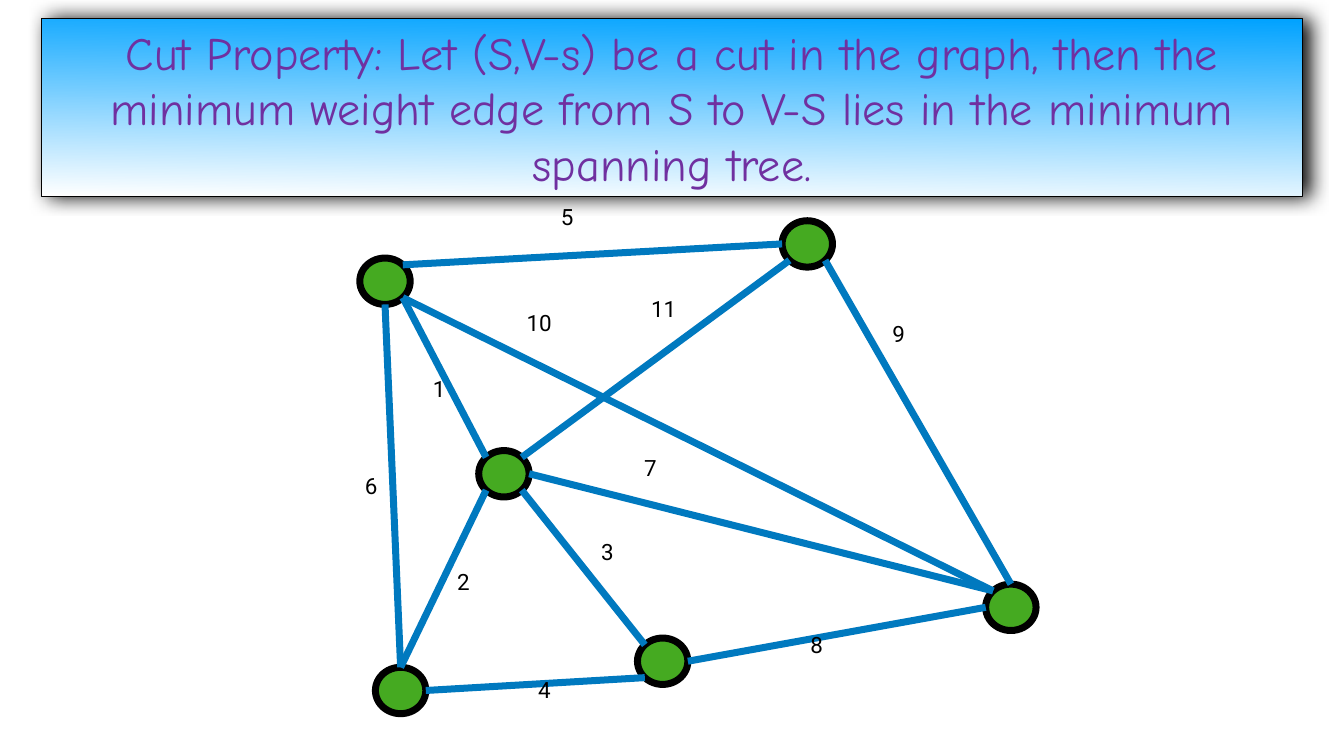
from math import cos, sin, radians
from lxml import etree
from pptx import Presentation
from pptx.dml.color import RGBColor
from pptx.enum.shapes import MSO_CONNECTOR, MSO_SHAPE
from pptx.enum.text import MSO_ANCHOR, MSO_AUTO_SIZE, PP_ALIGN
from pptx.oxml import parse_xml
from pptx.oxml.ns import nsdecls, qn
from pptx.util import Inches, Pt

SKY = RGBColor(0x00, 0xA2, 0xFF)
WHITE = RGBColor(0xFF, 0xFF, 0xFF)
BLACK = RGBColor(0x00, 0x00, 0x00)
PURPLE = RGBColor(0x70, 0x30, 0xA0)
GREEN = RGBColor(0x45, 0xAA, 0x21)
BLUE = RGBColor(0x00, 0x79, 0xBF)


def set_text(shape, text, font, size, color):
    frame = shape.text_frame
    frame.word_wrap = True
    frame.vertical_anchor = MSO_ANCHOR.MIDDLE
    frame.margin_left = frame.margin_right = Inches(0.06)
    frame.margin_top = frame.margin_bottom = Inches(0.06)
    para = frame.paragraphs[0]
    run = para.add_run()
    run.text = text
    run.font.name = font
    run.font.size = Pt(size)
    run.font.color.rgb = color
    return para


prs = Presentation()
prs.slide_width, prs.slide_height = Inches(26.67), Inches(15)
slide = prs.slides.add_slide(prs.slide_layouts[5])
shapes = slide.shapes

# Title: rounded banner with gradient and shadow
title = shapes.title
title.left, title.top = Inches(0.82), Inches(0.37)
title.width, title.height = Inches(25.03), Inches(3.52)
props = title._element.spPr
props.append(parse_xml(
    f'<a:prstGeom {nsdecls("a")} prst="roundRect"><a:avLst>'
    '<a:gd name="adj" fmla="val 5900"/></a:avLst></a:prstGeom>'))
title.fill.gradient()
title.fill.gradient_angle = 269
for stop, color in zip(title.fill.gradient_stops, (SKY, WHITE)):
    stop.color.rgb = color
title.fill.gradient_stops[0].position = 0
title.fill.gradient_stops[1].position = 1
title.line.color.rgb = BLACK
title.line.width = Pt(1)
props.append(parse_xml(
    f'<a:effectLst {nsdecls("a")}><a:outerShdw blurRad="{Pt(28)}" dist="{Pt(9)}" dir="0">'
    '<a:srgbClr val="000000"><a:alpha val="97000"/></a:srgbClr>'
    '</a:outerShdw></a:effectLst>'))
para = set_text(title, "Cut Property: Let (S,V-s) be a cut in the graph, then the minimum "
                "weight edge from S to V-S lies in the minimum spanning tree.",
                "Comic Neue", 66, PURPLE)
para.alignment = PP_ALIGN.CENTER
title.text_frame.auto_size = MSO_AUTO_SIZE.NONE

# Nodes: left and top of each
WIDE, HIGH = 1, 0.92
nodes = {"A": (7.14, 5.12), "B": (15.52, 4.38), "C": (9.5, 8.94),
         "D": (7.45, 13.24), "E": (12.65, 12.66), "F": (19.56, 11.59)}
for x, y in nodes.values():
    node = shapes.add_shape(MSO_SHAPE.OVAL, Inches(x), Inches(y), Inches(WIDE), Inches(HIGH))
    node.shadow.inherit = False
    node.fill.solid()
    node.fill.fore_color.rgb = GREEN
    node.line.color.rgb = BLACK
    node.line.width = Pt(10)

# Edges: node and compass side at each end, weight, place of its label
edges = [
    ("B", "SE", "F", "N", 9, 17.65, 6.03),
    ("F", "NW", "A", "SE", 10, 10.39, 5.81),
    ("B", "SW", "C", "NE", 11, 12.86, 5.54),
    ("D", "N", "C", "SW", 2, 9.01, 10.95),
    ("E", "NW", "C", "SE", 3, 11.87, 10.37),
    ("F", "W", "E", "E", 8, 16.02, 12.21),
    ("C", "NW", "A", "SE", 1, 8.53, 7.12),
    ("B", "W", "A", "NE", 5, 11.07, 3.71),
    ("D", "N", "A", "S", 6, 7.18, 9.06),
    ("D", "E", "E", "SW", 4, 10.62, 13.11),
    ("F", "NW", "C", "E", 7, 12.72, 8.7),
]
SIDES = ["E", "SE", "S", "SW", "W", "NW", "N", "NE"]


def rim(name, side):
    x, y = nodes[name]
    turn = radians(45 * SIDES.index(side))
    return (Inches(x + WIDE / 2 * (1 + cos(turn))),
            Inches(y + HIGH / 2 * (1 + sin(turn))))


for start, out, end, into, *_ in edges:
    edge = shapes.add_connector(MSO_CONNECTOR.STRAIGHT, *rim(start, out), *rim(end, into))
    edge.line.color.rgb = BLUE
    edge.line.width = Pt(10)
    etree.SubElement(edge._element.spPr, qn("a:effectLst"))

# Weights
for *_, weight, x, y in edges:
    width = 0.7 if weight > 9 else 0.54
    label = shapes.add_textbox(Inches(x), Inches(y), Inches(width), Inches(1.23))
    para = set_text(label, str(weight), "Roboto", 32, BLACK)
    para.line_spacing = 0.9
    para.space_before = Pt(45)
    label.text_frame.auto_size = MSO_AUTO_SIZE.SHAPE_TO_FIT_TEXT

prs.save("out.pptx")
